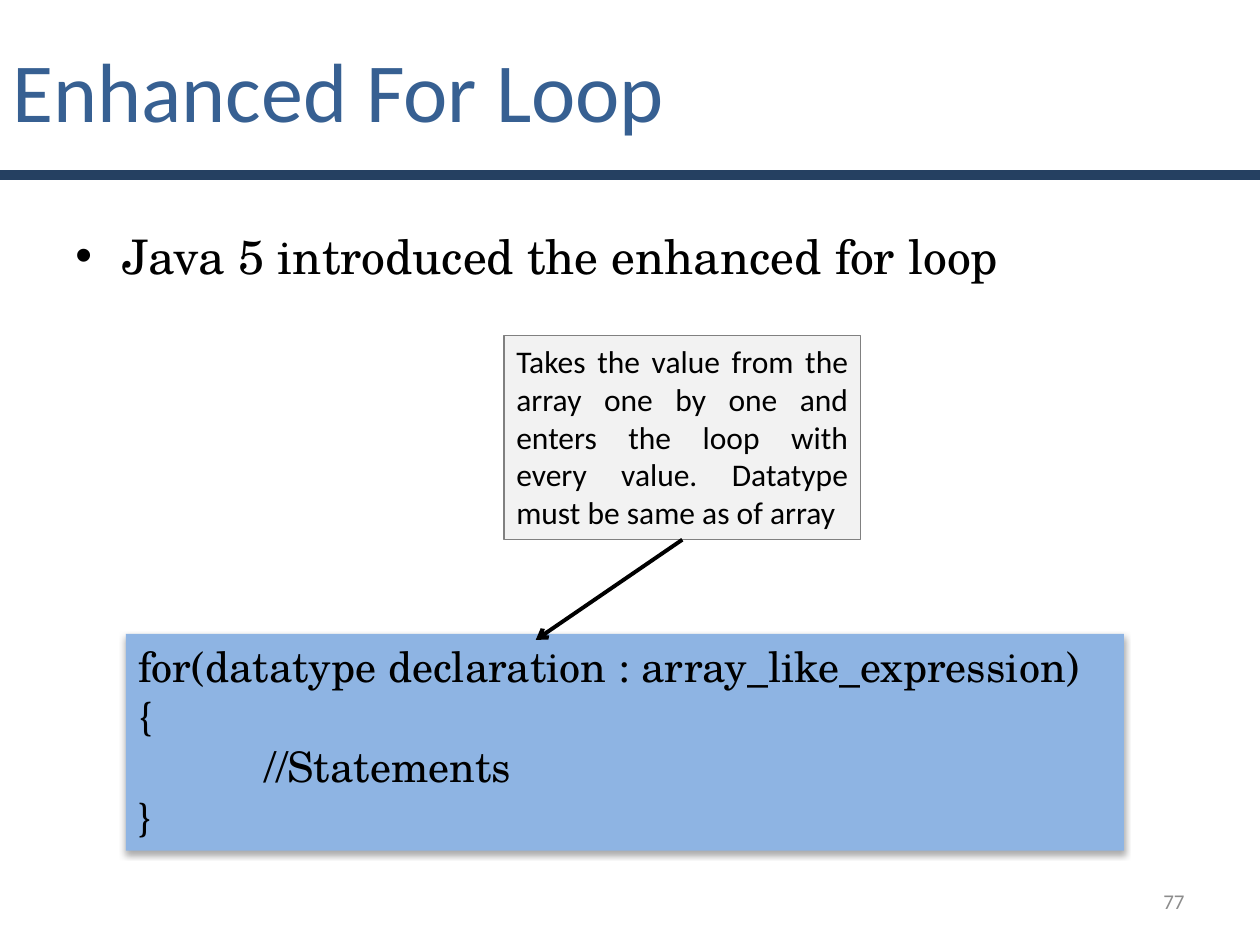
"""Build the slide that introduces the enhanced for loop in Java."""
from lxml import etree
from pptx import Presentation
from pptx.dml.color import RGBColor
from pptx.enum.shapes import MSO_CONNECTOR, MSO_SHAPE
from pptx.enum.text import MSO_ANCHOR, PP_ALIGN
from pptx.oxml import parse_xml
from pptx.oxml.ns import nsdecls, qn
from pptx.util import Cm, Pt

RECTANGLE = MSO_SHAPE.RECTANGLE
STRAIGHT = MSO_CONNECTOR.STRAIGHT
TOP, MIDDLE = MSO_ANCHOR.TOP, MSO_ANCHOR.MIDDLE
LEFT, RIGHT, JUSTIFY = PP_ALIGN.LEFT, PP_ALIGN.RIGHT, PP_ALIGN.JUSTIFY

NAVY = RGBColor(0x25, 0x40, 0x61)
BLUE = RGBColor(0x37, 0x60, 0x92)
LIGHT_BLUE = RGBColor(0x8E, 0xB4, 0xE3)
PALE_GRAY = RGBColor(0xF2, 0xF2, 0xF2)
GRAY = RGBColor(0x80, 0x80, 0x80)
NUMBER_GRAY = RGBColor(0x8C, 0x8C, 0x8C)
BLACK = RGBColor(0, 0, 0)

CODE = {"name": "TeX Gyre Schola", "size": Pt(24), "color": BLACK}
NOTE = {"name": "Calibri", "size": Pt(18), "color": BLACK}

RULE_BOX = (0, 3.47, 25.4, 0.13)
CODE_BOX = (2.54, 12.78, 20.12, 4.37)
NOTE_BOX = (10.16, 6.77, 7.19, 4.11)
ARROW_TIP = (10.8, 12.9)
BULLET_INDENT = 0.95
CODE_INDENT = 2.54

TEXT_BOXES = [
    ((0, 0, 21.79, 3.6), "Enhanced For Loop",
     {"name": "Calibri", "size": Pt(48), "color": BLUE}, LEFT, MIDDLE),
    ((18.21, 17.65, 5.92, 1.02), "77",
     {"name": "Calibri", "size": Pt(12), "color": NUMBER_GRAY}, RIGHT, MIDDLE),
]
BULLET_BOX = (1.27, 4.45, 22.86, 1.27)
BULLET_TEXT = "Java 5 introduced the enhanced for loop"
CODE_LINES = [
    ("for(datatype declaration : array_like_expression)", 0),
    ("{", 0),
    ("//Statements", 1),
    ("}", 0),
]
NOTE_TEXT = ("Takes the value from the array one by one and enters the loop "
             "with every value. Datatype must be same as of array")
SHADOW = (
    f'<a:effectLst {nsdecls("a")}><a:outerShdw blurRad="44450" dist="27940" '
    'dir="5400000" algn="ctr"><a:srgbClr val="000000"><a:alpha val="32000"/>'
    '</a:srgbClr></a:outerShdw></a:effectLst>'
)


def to_cm(box):
    return [Cm(length) for length in box]


def write(paragraph, text, style, alignment=LEFT):
    paragraph.alignment = alignment
    run = paragraph.add_run()
    run.text = text
    for attribute, value in style.items():
        if attribute == "color":
            run.font.color.rgb = value
        else:
            setattr(run.font, attribute, value)


def set_frame(shape, anchor=TOP):
    shape.text_frame.word_wrap = True
    shape.text_frame.vertical_anchor = anchor
    return shape.text_frame


def add_text(slide, box, text, style, alignment, anchor):
    frame = set_frame(slide.shapes.add_textbox(*to_cm(box)), anchor)
    write(frame.paragraphs[0], text, style, alignment)


def add_rectangle(slide, box, fill, line=None, width=0):
    shape = slide.shapes.add_shape(RECTANGLE, *to_cm(box))
    shape.shadow.inherit = False
    shape.fill.solid()
    shape.fill.fore_color.rgb = fill
    if line is None:
        shape.line.fill.background()
    else:
        shape.line.color.rgb = line
        shape.line.width = Pt(width)
    return shape


def add_bullet(slide):
    frame = set_frame(slide.shapes.add_textbox(*to_cm(BULLET_BOX)))
    paragraph = frame.paragraphs[0]
    properties = paragraph._p.get_or_add_pPr()
    properties.set("marL", str(Cm(BULLET_INDENT)))
    properties.set("indent", str(-Cm(BULLET_INDENT)))
    etree.SubElement(properties, qn("a:buFont")).set("typeface", "Arial")
    etree.SubElement(properties, qn("a:buChar")).set("char", "•")
    write(paragraph, BULLET_TEXT, {**CODE, "size": Pt(27.2)})


def add_code(slide):
    shape = add_rectangle(slide, CODE_BOX, LIGHT_BLUE)
    properties = shape._element.spPr
    properties.remove(properties.find(qn("a:effectLst")))
    properties.append(parse_xml(SHADOW))
    frame = set_frame(shape)
    for index, (text, level) in enumerate(CODE_LINES):
        paragraph = frame.add_paragraph() if index else frame.paragraphs[0]
        paragraph._p.get_or_add_pPr().set("marL", str(Cm(level * CODE_INDENT)))
        write(paragraph, text, CODE)


def add_note(slide):
    frame = set_frame(add_rectangle(slide, NOTE_BOX, PALE_GRAY, GRAY, 0.75))
    write(frame.paragraphs[0], NOTE_TEXT, NOTE, JUSTIFY)


def add_arrow(slide):
    left, top, width, height = NOTE_BOX
    ends = to_cm((left + width / 2, top + height, *ARROW_TIP))
    arrow = slide.shapes.add_connector(STRAIGHT, *ends)
    arrow.line.color.rgb = BLACK
    arrow.line.width = Pt(2.25)
    line = arrow._element.spPr.find(qn("a:ln"))
    etree.SubElement(line, qn("a:tailEnd")).set("type", "arrow")
    etree.SubElement(arrow._element.spPr, qn("a:effectLst"))


def main():
    presentation = Presentation()
    presentation.slide_width, presentation.slide_height = Cm(25.4), Cm(19.05)
    slide = presentation.slides.add_slide(presentation.slide_layouts[6])
    add_rectangle(slide, RULE_BOX, NAVY, NAVY, 2)
    for text_box in TEXT_BOXES:
        add_text(slide, *text_box)
    add_bullet(slide)
    add_code(slide)
    add_note(slide)
    add_arrow(slide)
    presentation.save("out.pptx")


if __name__ == "__main__":
    main()
